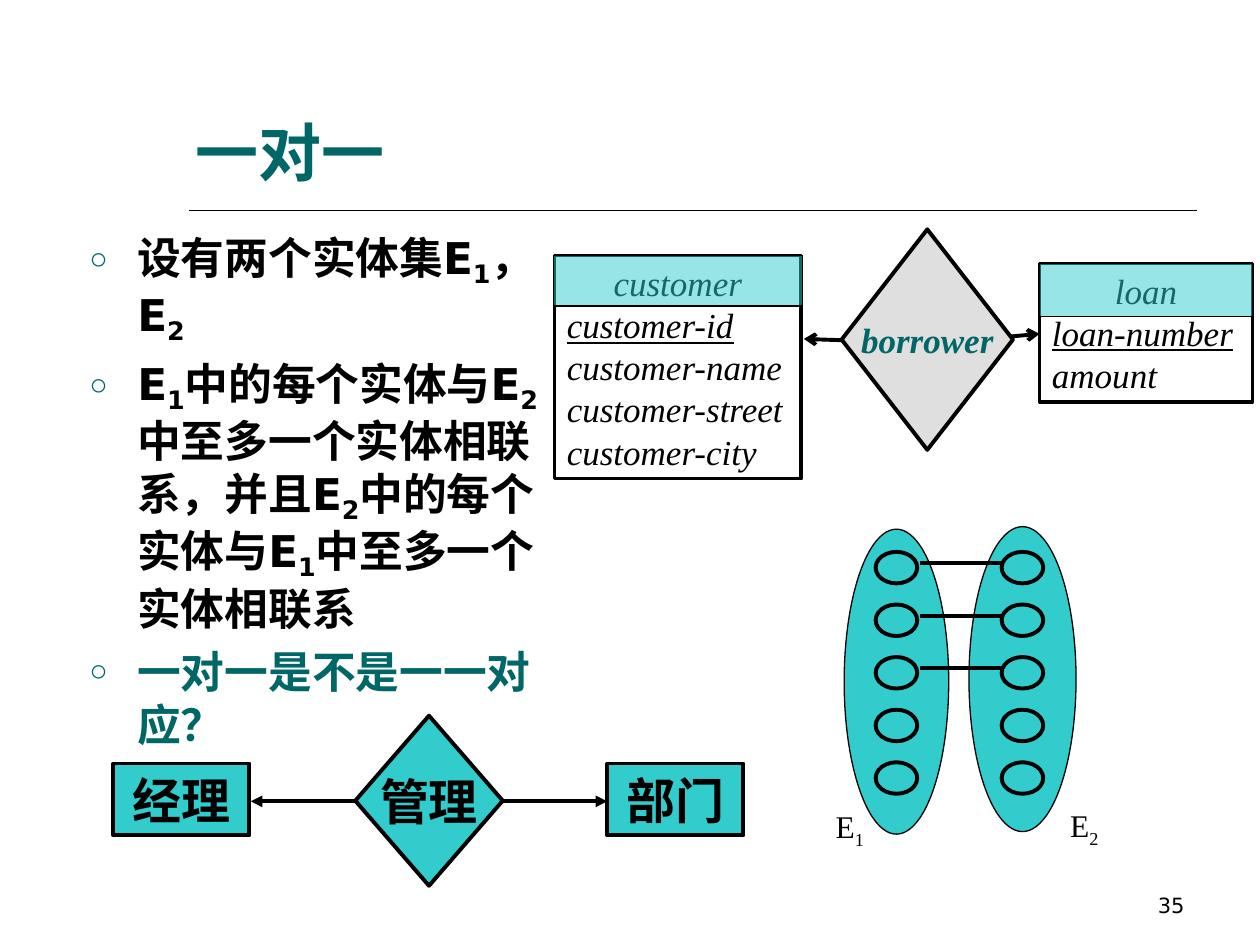
from lxml import etree
from pptx import Presentation
from pptx.dml.color import RGBColor
from pptx.enum.shapes import MSO_CONNECTOR, MSO_SHAPE
from pptx.enum.text import MSO_ANCHOR, MSO_AUTO_SIZE, PP_ALIGN
from pptx.oxml.ns import qn
from pptx.util import Inches, Pt

RECTANGLE, DIAMOND, OVAL = MSO_SHAPE.RECTANGLE, MSO_SHAPE.DIAMOND, MSO_SHAPE.OVAL
STRAIGHT = MSO_CONNECTOR.STRAIGHT
TOP, MIDDLE, BOTTOM = MSO_ANCHOR.TOP, MSO_ANCHOR.MIDDLE, MSO_ANCHOR.BOTTOM
LEFT, CENTER, RIGHT = PP_ALIGN.LEFT, PP_ALIGN.CENTER, PP_ALIGN.RIGHT
NO_AUTOFIT = MSO_AUTO_SIZE.NONE

BLACK = RGBColor(0x00, 0x00, 0x00)
TEAL = RGBColor(0x00, 0x66, 0x66)
TURQUOISE = RGBColor(0x33, 0xCC, 0xCC)
GREY = RGBColor(0xDF, 0xDF, 0xDF)
SANS, SERIF, TITLE_FONT = "DejaVu Sans", "Times New Roman", "Arial"


def place(shape, left, top, width, height):
    shape.left, shape.top = Inches(left), Inches(top)
    shape.width, shape.height = Inches(width), Inches(height)


def add_run(paragraph, text, size, font=SERIF, color=BLACK, bold=False,
            italic=False, underline=False, baseline=0):
    run = paragraph.add_run()
    run.text = text
    run.font.name, run.font.size = font, Pt(size)
    run.font.bold, run.font.italic, run.font.underline = bold, italic, underline
    run.font.color.rgb = color
    if baseline:
        run._r.get_or_add_rPr().set("baseline", str(baseline * 1000))


def add_subscripted(paragraph, parts, baseline, **style):
    """Every second part is a subscript."""
    for index, part in enumerate(parts):
        add_run(paragraph, part, baseline=baseline * (index % 2), **style)


def add_bullet(paragraph):
    properties = paragraph._p.get_or_add_pPr()
    properties.set("marL", str(Inches(0.38)))
    properties.set("indent", str(-Inches(0.38)))
    color = etree.SubElement(properties, qn("a:buClr"))
    etree.SubElement(color, qn("a:srgbClr")).set("val", str(TEAL))
    etree.SubElement(properties, qn("a:buSzPct")).set("val", "70000")
    etree.SubElement(properties, qn("a:buChar")).set("char", "○")


def add_figure(slide, kind, box, fill=None, line_width=2.25, alpha=None):
    shape = slide.shapes.add_shape(kind, *map(Inches, box))
    shape.shadow.inherit = False
    if fill is None:
        shape.fill.background()
    else:
        shape.fill.solid()
        shape.fill.fore_color.rgb = fill
    if alpha:
        color = shape._element.spPr.find(qn("a:solidFill")).find(qn("a:srgbClr"))
        etree.SubElement(color, qn("a:alpha")).set("val", str(alpha * 1000))
    shape.line.color.rgb = BLACK
    shape.line.width = Pt(line_width)
    return shape


def add_label(shape, text, size, **style):
    frame = shape.text_frame
    frame.word_wrap = False
    frame.vertical_anchor = MIDDLE
    frame.paragraphs[0].alignment = CENTER
    add_run(frame.paragraphs[0], text, size, **style)


def add_line(slide, start, end, width=2.25, arrow=None):
    points = [Inches(value) for value in (*start, *end)]
    line = slide.shapes.add_connector(STRAIGHT, *points)
    line.line.color.rgb = BLACK
    line.line.width = Pt(width)
    if arrow:
        etree.SubElement(line.line._get_or_add_ln(), qn("a:tailEnd")).set("type", arrow)
    etree.SubElement(line._element.spPr, qn("a:effectLst"))


def add_text_box(slide, box, alignment, anchor):
    text_box = slide.shapes.add_textbox(*map(Inches, box))
    frame = text_box.text_frame
    frame.word_wrap = True
    frame.vertical_anchor = anchor
    frame.paragraphs[0].alignment = alignment
    return frame.paragraphs[0]


def add_entity(slide, box, header_box, name, key, attributes):
    """Entity box: heading band, underlined key, then plain attributes."""
    shape = add_figure(slide, RECTANGLE, box, line_width=2)
    frame = shape.text_frame
    frame.word_wrap = True
    frame.vertical_anchor = TOP
    for index, text in enumerate([name, key, *attributes]):
        paragraph = frame.paragraphs[0] if index == 0 else frame.add_paragraph()
        paragraph.alignment = CENTER if index == 0 else LEFT
        paragraph.line_spacing = Pt(24)
        add_run(paragraph, text, 20, italic=True, underline=text == key)
    add_figure(slide, RECTANGLE, header_box, TURQUOISE, 0.75, alpha=50)


def add_title_and_body(slide):
    title, body = slide.placeholders[0], slide.placeholders[1]
    place(title, 1.45, 0.3, 8, 1.25)
    title.text_frame.auto_size = NO_AUTOFIT
    title.text_frame.vertical_anchor = BOTTOM
    title.text_frame.paragraphs[0].alignment = LEFT
    add_run(title.text_frame.paragraphs[0], "一对一", 36, TITLE_FONT, TEAL, bold=True)
    add_line(slide, (1.5, 1.67), (9.5, 1.67), 1)

    place(body, 0.61, 1.78, 3.92, 4.5)
    frame = body.text_frame
    frame.auto_size = NO_AUTOFIT
    bullets = [
        (["设有两个实体集E", "1", "， E", "2"], BLACK),
        (["E", "1", "中的每个实体与E", "2", "中至多一个实体相联系，并且E", "2",
          "中的每个实体与E", "1", "中至多一个实体相联系"], BLACK),
        (["一对一是不是一一对应？"], TEAL),
    ]
    for index, (parts, color) in enumerate(bullets):
        paragraph = frame.paragraphs[0] if index == 0 else frame.add_paragraph()
        add_bullet(paragraph)
        paragraph.space_before = Pt(6.2 if index else 0)
        add_subscripted(paragraph, parts, -20, size=25, font=SANS, color=color, bold=True)


def add_manager_diagram(slide):
    for left, text in ((0.9, "经理"), (4.82, "部门")):
        entity = add_figure(slide, RECTANGLE, (left, 6.06, 1.08, 0.57), TURQUOISE)
        add_label(entity, text, 28, bold=True)
    relation = add_figure(slide, DIAMOND, (2.82, 5.68, 1.17, 1.35), TURQUOISE)
    add_label(relation, "管理", 28, bold=True)
    for start, end in ((2.82, 1.99), (3.99, 4.82)):
        add_line(slide, (start, 6.36), (end, 6.36), arrow="triangle")


def add_mapping(slide):
    # Entity sets with five members each
    for box in ((7.69, 4.18, 0.85, 2.42), (6.7, 4.2, 0.83, 2.42)):
        add_figure(slide, OVAL, box, TURQUOISE, 0.75)
    rows = [4.38 + 0.4175 * row for row in range(5)]
    for left in (6.95, 7.95):
        for top in rows:
            add_figure(slide, OVAL, (left, top, 0.33, 0.25))
    # The first three members are paired
    for top in rows[:3]:
        add_line(slide, (7.3, top + 0.09), (7.95, top + 0.09))
    for left, top, number in ((6.49, 6.36, "1"), (8.35, 6.35, "2")):
        paragraph = add_text_box(slide, (left, top, 0.51, 0.44), CENTER, TOP)
        add_subscripted(paragraph, ["E", number], -25, size=18)


def add_borrower_diagram(slide):
    add_entity(slide, (4.4, 2.03, 1.96, 1.77), (4.39, 2.03, 1.98, 0.4), "customer",
               "customer-id", ["customer-name", "customer-street", "customer-city"])
    add_entity(slide, (8.25, 2.09, 1.69, 1.1), (8.25, 2.09, 1.69, 0.42), "loan",
               "loan-number", ["amount"])
    add_line(slide, (6.68, 2.7), (6.38, 2.69), arrow="arrow")
    add_line(slide, (7.91, 2.68), (8.25, 2.65), arrow="arrow")
    relation = add_figure(slide, DIAMOND, (6.68, 1.82, 1.36, 1.75), GREY)
    add_label(relation, "borrower", 20, color=TEAL, bold=True, italic=True)


def main():
    presentation = Presentation()
    presentation.slide_width, presentation.slide_height = Inches(10), Inches(7.5)
    slide = presentation.slides.add_slide(presentation.slide_layouts[1])
    add_title_and_body(slide)
    number = add_text_box(slide, (7.17, 6.83, 2.33, 0.5), RIGHT, BOTTOM)
    add_run(number, "35", 12, SANS)
    add_manager_diagram(slide)
    add_mapping(slide)
    add_borrower_diagram(slide)
    presentation.save("out.pptx")


if __name__ == "__main__":
    main()
